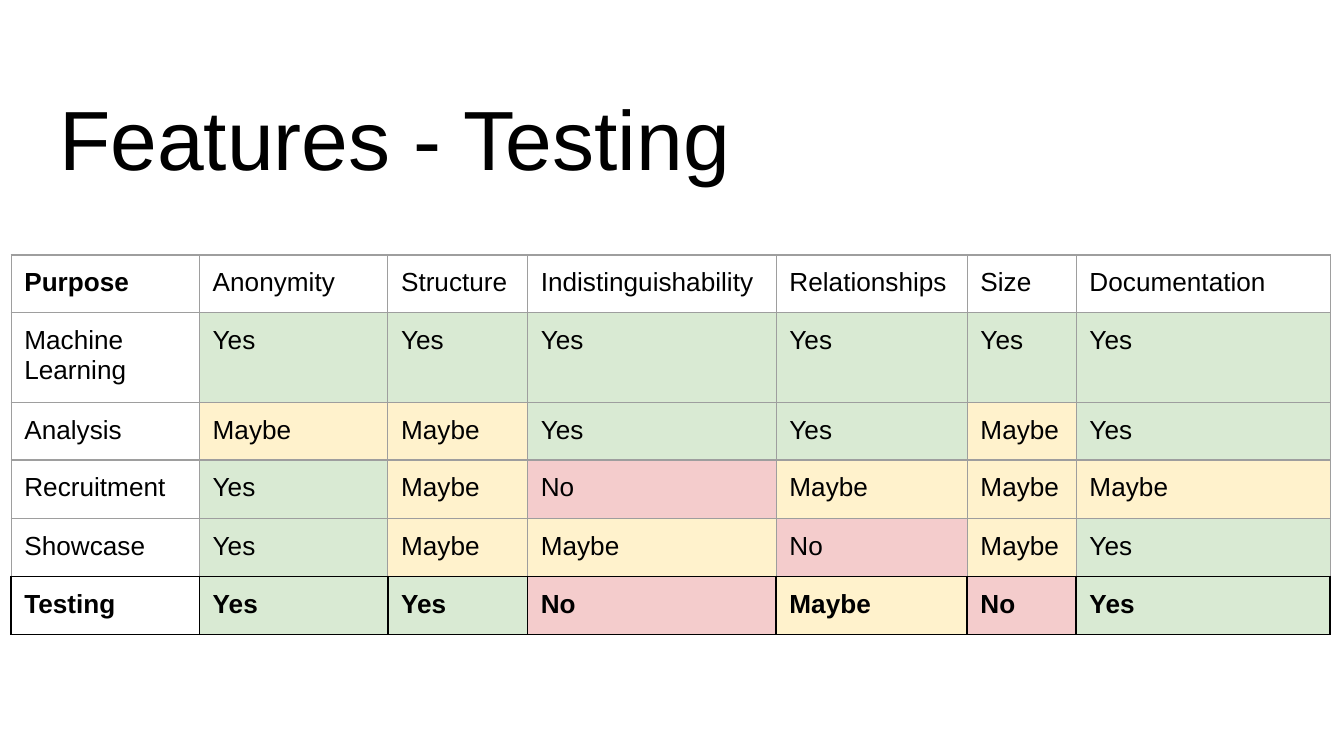
from dataclasses import dataclass

from lxml import etree
from pptx import Presentation
from pptx.dml.color import RGBColor
from pptx.enum.text import MSO_ANCHOR
from pptx.oxml.ns import qn
from pptx.slide import Slide
from pptx.table import _Cell
from pptx.text.text import _Paragraph
from pptx.util import Cm, Pt

TOP = MSO_ANCHOR.TOP

BLACK = RGBColor(0x00, 0x00, 0x00)
GRAY = RGBColor(0x9E, 0x9E, 0x9E)
GREEN = RGBColor(0xD9, 0xEA, 0xD3)
YELLOW = RGBColor(0xFF, 0xF2, 0xCC)
RED = RGBColor(0xF4, 0xCC, 0xCC)

FONT = "Arial"
INSET = Cm(0.25)
RATING_COLORS = {"Yes": GREEN, "Maybe": YELLOW, "No": RED}
COLUMN_WIDTHS = (3.56, 3.56, 2.64, 4.7, 3.61, 2.06, 4.8)
ROW_HEIGHTS = (1.07, 1.07, 1.07, 1.1, 1.1, 1.1)
FEATURES = (
    "Anonymity",
    "Structure",
    "Indistinguishability",
    "Relationships",
    "Size",
    "Documentation",
)


@dataclass(frozen=True)
class Purpose:
    name: str
    ratings: tuple[str, ...]
    highlighted: bool = False


@dataclass(frozen=True)
class Border:
    color: RGBColor
    width: float


THIN = Border(GRAY, 0.75)
STRONG = Border(BLACK, 1)

PURPOSES = (
    Purpose("Machine Learning", ("Yes",) * 6),
    Purpose("Analysis", ("Maybe", "Maybe", "Yes", "Yes", "Maybe", "Yes")),
    Purpose("Recruitment", ("Yes", "Maybe", "No", "Maybe", "Maybe", "Maybe")),
    Purpose("Showcase", ("Yes", "Maybe", "Maybe", "No", "Maybe", "Yes")),
    Purpose("Testing", ("Yes", "Yes", "No", "Maybe", "No", "Yes"), True),
)


def format_text(paragraph: _Paragraph, size: float, bold: bool = False) -> None:
    for run in paragraph.runs:
        run.font.name = FONT
        run.font.size = Pt(size)
        run.font.bold = bold
        run.font.color.rgb = BLACK


def set_borders(cell: _Cell, sides: Border, bottom: Border) -> None:
    properties = cell._tc.get_or_add_tcPr()
    edges = {"a:lnL": sides, "a:lnR": sides, "a:lnT": sides, "a:lnB": bottom}
    for tag, border in edges.items():
        line = etree.SubElement(properties, qn(tag), w=str(Pt(border.width)))
        fill = etree.SubElement(line, qn("a:solidFill"))
        etree.SubElement(fill, qn("a:srgbClr"), val=str(border.color))


def fill_cell(
    cell: _Cell, text: str, bold: bool, sides: Border, bottom: Border
) -> None:
    cell.text_frame.text = text
    format_text(cell.text_frame.paragraphs[0], 14, bold)
    cell.margin_left = cell.margin_right = INSET
    cell.margin_top = cell.margin_bottom = INSET
    cell.vertical_anchor = TOP
    set_borders(cell, sides, bottom)
    if text in RATING_COLORS:
        cell.fill.solid()
        cell.fill.fore_color.rgb = RATING_COLORS[text]
    else:
        cell.fill.background()


def add_title(slide: Slide, text: str) -> None:
    title = slide.shapes.add_textbox(Cm(0.87), Cm(1.25), Cm(23.67), Cm(1.6))
    frame = title.text_frame
    frame.word_wrap = True
    frame.vertical_anchor = TOP
    frame.margin_left = frame.margin_right = frame.margin_bottom = INSET
    frame.margin_top = Cm(0.39)
    frame.text = text
    format_text(frame.paragraphs[0], 45)


def add_feature_table(slide: Slide) -> None:
    rows = (Purpose("Purpose", FEATURES), *PURPOSES)
    table = slide.shapes.add_table(
        len(rows),
        len(COLUMN_WIDTHS),
        Cm(0.21),
        Cm(4.82),
        Cm(sum(COLUMN_WIDTHS)),
        Cm(sum(ROW_HEIGHTS)),
    ).table
    table.first_row = False
    table.horz_banding = False
    for column, width in zip(table.columns, COLUMN_WIDTHS):
        column.width = Cm(width)
    for row, height in zip(table.rows, ROW_HEIGHTS):
        row.height = Cm(height)

    for row_index, purpose in enumerate(rows):
        sides = STRONG if purpose.highlighted else THIN
        above_highlight = any(p.highlighted for p in rows[row_index + 1 : row_index + 2])
        bottom = STRONG if above_highlight else sides
        for column_index, text in enumerate((purpose.name, *purpose.ratings)):
            bold = purpose.highlighted or text == "Purpose"
            cell = table.cell(row_index, column_index)
            fill_cell(cell, text, bold, sides, bottom)


def main() -> None:
    presentation = Presentation()
    presentation.slide_width = Cm(25.4)
    presentation.slide_height = Cm(14.29)
    slide = presentation.slides.add_slide(presentation.slide_layouts[6])
    add_title(slide, "Features - Testing")
    add_feature_table(slide)
    presentation.save("out.pptx")


if __name__ == "__main__":
    main()
